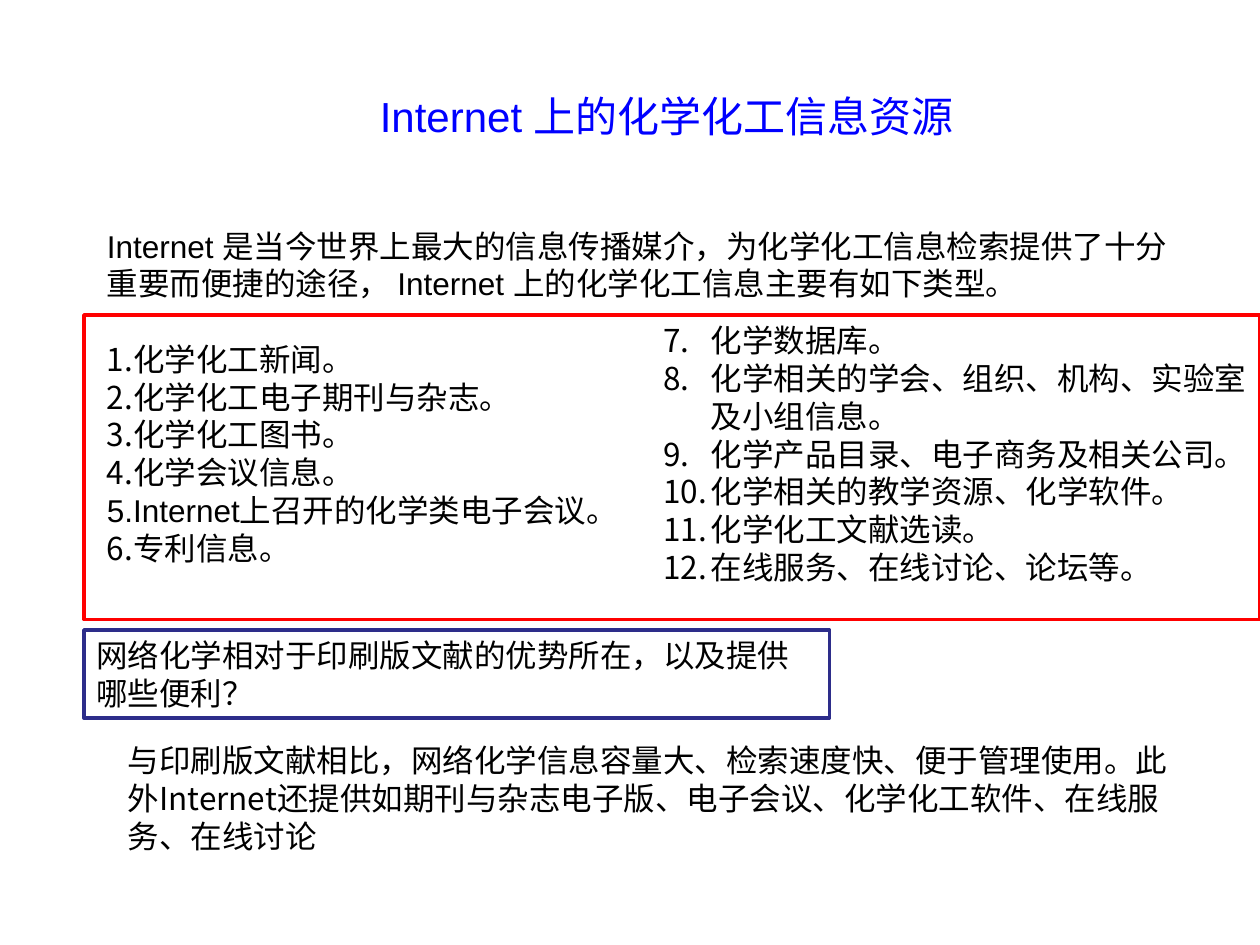
from dataclasses import dataclass
from typing import Optional

import lxml.etree
import pptx
import pptx.dml.color
import pptx.enum.shapes
import pptx.enum.text
import pptx.oxml.ns
import pptx.util

Pt = pptx.util.Pt
RGBColor = pptx.dml.color.RGBColor
qn = pptx.oxml.ns.qn

BLACK = RGBColor(0x00, 0x00, 0x00)
WHITE = RGBColor(0xFF, 0xFF, 0xFF)
BLUE = RGBColor(0x00, 0x00, 0xFF)
RED = RGBColor(0xFF, 0x00, 0x00)
NAVY = RGBColor(0x2D, 0x2D, 0x8A)

LATIN = "Arial"
CJK = "Noto Sans CJK SC"


@dataclass(frozen=True)
class Box:
    left: float
    top: float
    width: float
    height: float


@dataclass(frozen=True)
class Frame:
    box: Box
    line: RGBColor
    fill: Optional[RGBColor] = None


@dataclass(frozen=True)
class Style:
    size: float = 18
    font: str = LATIN
    color: RGBColor = BLACK


@dataclass(frozen=True)
class Numbering:
    start: int = 1
    indent: float = 0
    gap: float = 0


BODY = Style()

INTRO = (
    "Internet 是当今世界上最大的信息传播媒介，为化学化工信息检索提供了十分"
    "重要而便捷的途径， Internet 上的化学化工信息主要有如下类型。"
)
LEFT_TYPES = [
    "化学化工新闻。",
    "化学化工电子期刊与杂志。",
    "化学化工图书。",
    "化学会议信息。",
    "Internet上召开的化学类电子会议。",
    "专利信息。",
]
RIGHT_TYPES = [
    "化学数据库。",
    "化学相关的学会、组织、机构、实验室及小组信息。",
    "化学产品目录、电子商务及相关公司。",
    "化学相关的教学资源、化学软件。",
    "化学化工文献选读。",
    "在线服务、在线讨论、论坛等。",
]
QUESTION = "网络化学相对于印刷版文献的优势所在，以及提供哪些便利？"
ANSWER = (
    "与印刷版文献相比，网络化学信息容量大、检索速度快、便于管理使用。"
    "此外Internet还提供如期刊与杂志电子版、电子会议、化学化工软件、"
    "在线服务、在线讨论"
)


def set_frame(tf) -> None:
    formats = {
        "word_wrap": True,
        "vertical_anchor": pptx.enum.text.MSO_ANCHOR.TOP,
        "margin_left": Pt(7.2),
        "margin_right": Pt(7.2),
        "margin_top": Pt(3.6),
        "margin_bottom": Pt(3.6),
    }
    for name, value in formats.items():
        setattr(tf, name, value)


def add_paragraph(tf, text: str, style: Style):
    p = tf.add_paragraph() if tf.paragraphs[0].runs else tf.paragraphs[0]
    p.alignment = pptx.enum.text.PP_ALIGN.LEFT
    r = p.add_run()
    r.text = text
    for name, value in {"name": style.font, "size": Pt(style.size)}.items():
        setattr(r.font, name, value)
    r.font.color.rgb = style.color
    latin = r.font._element.find(qn("a:latin"))
    ea = lxml.etree.Element(qn("a:ea"), typeface=CJK)
    latin.addnext(ea)
    return p


def add_numbered(tf, items: list[str], numbering: Numbering) -> None:
    for i, item in enumerate(items):
        p = add_paragraph(tf, item, BODY)
        pPr = p._p.get_or_add_pPr()
        pPr.set("marL", str(Pt(numbering.indent)))
        pPr.set("indent", str(-Pt(numbering.indent)))
        lxml.etree.SubElement(pPr, qn("a:buFont"), typeface=CJK)
        lxml.etree.SubElement(
            pPr, qn("a:buAutoNum"), type="arabicPeriod", startAt=str(numbering.start)
        )
        if i == 0 and numbering.gap:
            p.space_before = Pt(numbering.gap)


def position(box: Box) -> list:
    return [Pt(v) for v in (box.left, box.top, box.width, box.height)]


def add_text(s, box: Box, text: str = "", style: Style = BODY):
    tf = s.shapes.add_textbox(*position(box)).text_frame
    set_frame(tf)
    if text:
        add_paragraph(tf, text, style)
    return tf


def add_frame(s, frame: Frame):
    sp = s.shapes.add_shape(
        pptx.enum.shapes.MSO_SHAPE.RECTANGLE, *position(frame.box)
    )
    sp.shadow.inherit = False
    if frame.fill is None:
        sp.fill.background()
    else:
        sp.fill.solid()
        sp.fill.fore_color.rgb = frame.fill
    sp.line.color.rgb = frame.line
    sp.line.width = Pt(2)
    set_frame(sp.text_frame)
    return sp.text_frame


def main() -> None:
    prs = pptx.Presentation()
    prs.slide_width, prs.slide_height = Pt(720), Pt(540)
    s = prs.slides.add_slide(prs.slide_layouts[6])

    add_text(
        s,
        Box(210, 48, 366, 65),
        "Internet 上的化学化工信息资源",
        Style(size=24, color=BLUE),
    )
    tf = add_text(s, Box(54, 126, 630, 201.6), INTRO)
    add_numbered(tf, LEFT_TYPES, Numbering(gap=21.5))
    tf = add_text(s, Box(372, 180, 348, 201.6))
    add_numbered(tf, RIGHT_TYPES, Numbering(start=7, indent=27))
    add_frame(s, Frame(Box(48, 180, 672, 174), RED))
    add_text(s, Box(66, 420, 618, 72), ANSWER, Style(font=CJK))
    tf = add_frame(s, Frame(Box(48, 360, 426, 50.4), NAVY, WHITE))
    add_paragraph(tf, QUESTION, BODY)

    prs.save("out.pptx")


if __name__ == "__main__":
    main()
